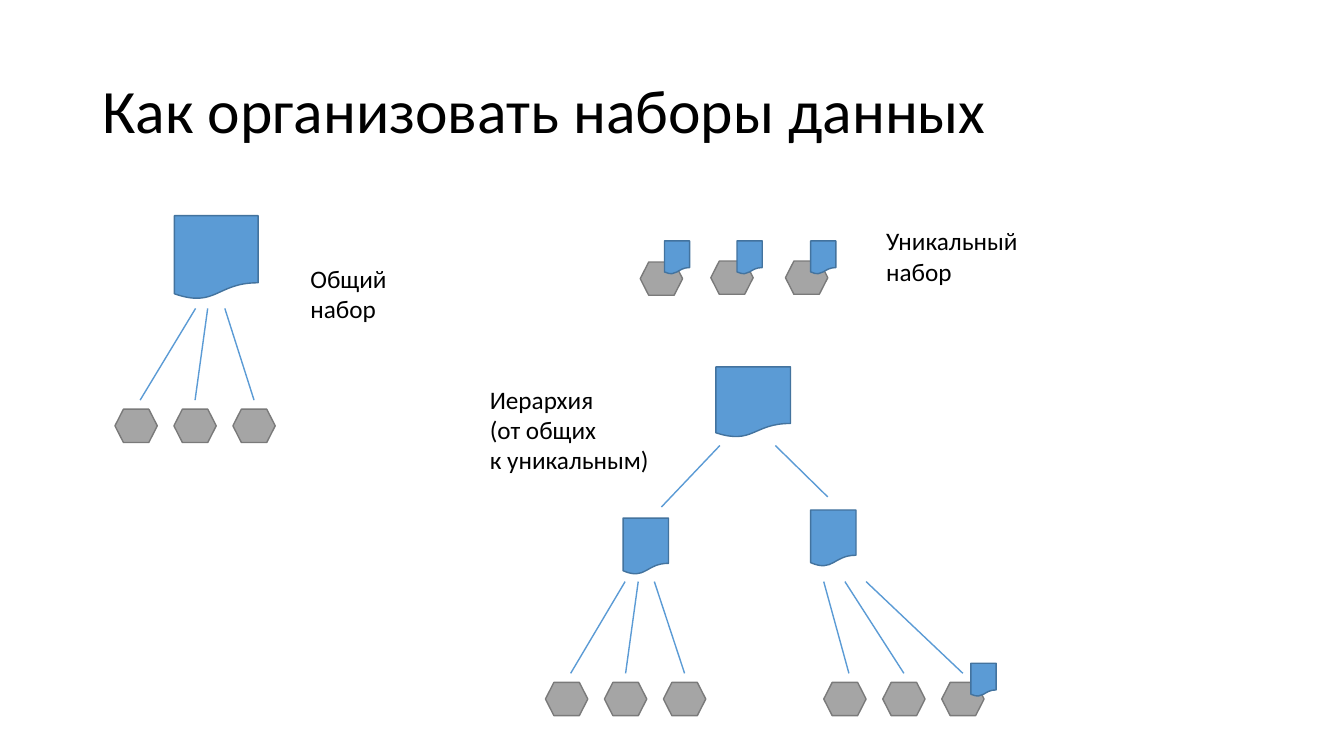
from lxml import etree
from pptx import Presentation
from pptx.dml.color import RGBColor
from pptx.enum.shapes import MSO_CONNECTOR as Connector, MSO_SHAPE as Shape
from pptx.enum.text import MSO_ANCHOR as Anchor
from pptx.oxml.ns import qn
from pptx.util import Inches, Pt

COLORS = {"text": "000000", "set": "5B9BD5", "set_line": "43739E",
          "item": "A5A5A5", "item_line": "7A7A7A"}
FONT = "Calibri"

TITLE = "Как организовать наборы данных"
ITEM_SIZE = (0.42, 0.33)
ITEM_PITCH = 0.585
OWN_SET_SIZE = (0.25, 0.33)
LINK_END_OFFSETS = (0.25, 0.21, 0.21)  # from the left edge of each item

# Each fan: left and top of its first item, x where each link starts
DIAGRAMS = [
    {"label": ["Общий", "набор"], "label_box": (2.98, 2.56, 1.02, 0.71),
     "sets": [(1.73, 2.14, 0.83, 0.83)],
     "fans": [(1.14, 4.06, (1.94, 2.06, 2.23))]},
    {"label": ["Уникальный", "набор"], "label_box": (8.69, 2.19, 1.52, 0.71),
     "items": [(6.35, 2.6), (7.05, 2.59), (7.79, 2.59)],
     "own_sets": [(6.59, 2.39), (7.31, 2.39), (8.04, 2.39)]},
    {"label": ["Иерархия", "(от общих", "к уникальным)"],
     "label_box": (4.76, 3.76, 1.8, 1.01),
     "sets": [(7.1, 3.64, 0.74, 0.7), (6.18, 5.14, 0.45, 0.56),
              (8.04, 5.06, 0.45, 0.56)],
     "links": [(7.14, 4.42, 6.56, 5.03), (7.69, 4.42, 8.21, 4.93)],
     "fans": [(8.17, 6.77, (8.17, 8.38, 8.59)),
              (5.41, 6.77, (6.2, 6.33, 6.49))],
     "own_sets": [(9.63, 6.58)]},
]


def color(name):
    return RGBColor.from_string(COLORS[name])


def add_text(shapes, lines, frame, size=18, wrap=False, anchor=Anchor.TOP,
             spacing=1.0):
    box = shapes.add_textbox(*map(Inches, frame))
    text = box.text_frame
    text.word_wrap = wrap
    text.vertical_anchor = anchor
    for index, line in enumerate(lines):
        para = text.add_paragraph() if index else text.paragraphs[0]
        para.line_spacing = spacing
        span = para.add_run()
        span.text = line
        span.font.name = FONT
        span.font.size = Pt(size)
        span.font.color.rgb = color("text")


def add_figure(shapes, kind, frame, fill):
    figure = shapes.add_shape(kind, *map(Inches, frame))
    figure.shadow.inherit = False
    figure.fill.solid()
    figure.fill.fore_color.rgb = color(fill)
    figure.line.color.rgb = color(fill + "_line")
    figure.line.width = Pt(1)


def add_set(shapes, frame):
    add_figure(shapes, Shape.FLOWCHART_DOCUMENT, frame, "set")


def add_item(shapes, left, top):
    add_figure(shapes, Shape.FLOWCHART_PREPARATION, (left, top, *ITEM_SIZE), "item")


def add_link(shapes, *ends):
    link = shapes.add_connector(Connector.STRAIGHT, *map(Inches, ends))
    link.line.color.rgb = color("set")
    link.line.width = Pt(1)
    etree.SubElement(link._element.spPr, qn("a:effectLst"))


def add_fan(shapes, left, top, starts):
    """Draw a row of items, each with a link coming down to it."""
    for index, (start, offset) in enumerate(zip(starts, LINK_END_OFFSETS)):
        item_left = left + index * ITEM_PITCH
        add_item(shapes, item_left, top)
        add_link(shapes, start, top - 1, item_left + offset, top - 0.09)


def add_diagram(shapes, diagram):
    for frame in diagram.get("sets", []):
        add_set(shapes, frame)
    for ends in diagram.get("links", []):
        add_link(shapes, *ends)
    for fan in diagram.get("fans", []):
        add_fan(shapes, *fan)
    for place in diagram.get("items", []):
        add_item(shapes, *place)
    for place in diagram.get("own_sets", []):
        add_set(shapes, (*place, *OWN_SET_SIZE))
    add_text(shapes, diagram["label"], diagram["label_box"])


def main():
    deck = Presentation()
    deck.slide_width, deck.slide_height = Inches(13.33), Inches(7.5)
    page = deck.slides.add_slide(deck.slide_layouts[6])
    add_text(page.shapes, [TITLE], (0.92, 0.4, 11.5, 1.45), size=44, wrap=True,
             anchor=Anchor.MIDDLE, spacing=0.9)
    for diagram in DIAGRAMS:
        add_diagram(page.shapes.add_group_shape().shapes, diagram)
    deck.save("out.pptx")


if __name__ == "__main__":
    main()
